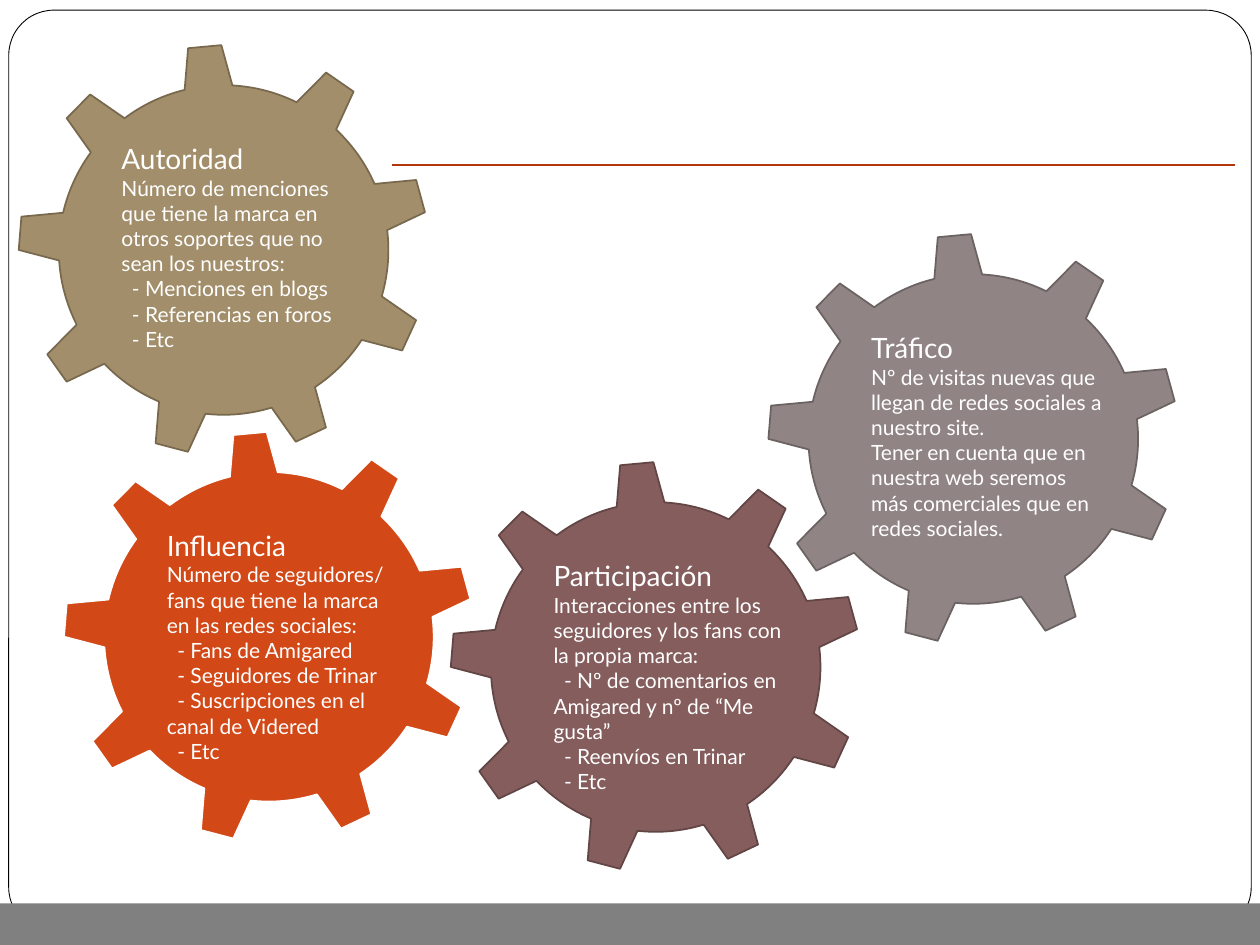
from lxml import etree
from pptx import Presentation
from pptx.dml.color import RGBColor
from pptx.enum import shapes, text
from pptx.oxml.ns import qn
from pptx.util import Pt

WHITE = RGBColor(0xFF, 0xFF, 0xFF)
BLACK = RGBColor(0, 0, 0)
GREY = RGBColor(0x80, 0x80, 0x80)
RULE_RED = RGBColor(0xB1, 0x36, 0x0B)
SAND = RGBColor(0xA2, 0x8E, 0x6A)
SAND_EDGE = RGBColor(0x78, 0x69, 0x4E)
ORANGE = RGBColor(0xD3, 0x48, 0x17)
PLUM = RGBColor(0x85, 0x5D, 0x5D)
PLUM_EDGE = RGBColor(0x62, 0x45, 0x45)
MAUVE = RGBColor(0x91, 0x84, 0x85)
MAUVE_EDGE = RGBColor(0x6B, 0x62, 0x62)

FONT = "Lato"
SLIDE_W, SLIDE_H = 720, 540
GEAR_SIZE = 235.4
GEAR_ANGLE = 354.7
TEXT_INSET = 52.2
TEXT_W = 147.6
ITEM_INDENT = 6

METRICS = [
    (10.1, 25.2, 128, SAND, SAND_EDGE, "Autoridad", [
        "Número de menciones que tiene la marca en otros soportes que no sean los nuestros:",
        "- Menciones en blogs",
        "- Referencias en foros",
        "- Etc"]),
    (36, 246.2, 143, ORANGE, WHITE, "Influencia", [
        "Número de seguidores/ fans que tiene la marca en las redes sociales:",
        "- Fans de Amigared",
        "- Seguidores de Trinar",
        "- Suscripciones en el canal de Videred",
        "- Etc"]),
    (257, 263.5, 143, PLUM, PLUM_EDGE, "Participación", [
        "Interacciones entre los seguidores y los fans con la propia marca:",
        "- Nº de comentarios en Amigared y nº de “Me gusta”",
        "- Reenvíos en Trinar",
        "- Etc"]),
    (438.5, 133.2, 128, MAUVE, MAUVE_EDGE, "Tráfico", [
        "Nº de visitas nuevas que llegan de redes sociales a nuestro site.",
        "Tener en cuenta que en nuestra web seremos más comerciales que en redes sociales."]),
]


def add_filled(slide, kind, left, top, width, height, fill, edge=None, weight=1):
    shape = slide.shapes.add_shape(kind, Pt(left), Pt(top), Pt(width), Pt(height))
    shape.shadow.inherit = False
    shape.fill.solid()
    shape.fill.fore_color.rgb = fill
    if edge is None:
        shape.line.fill.background()
    else:
        shape.line.color.rgb = edge
        shape.line.width = Pt(weight)
    return shape


def style(font, size):
    font.name = FONT
    font.size = Pt(size)
    font.color.rgb = WHITE


def add_backdrop(slide, width, height):
    frame = add_filled(slide, shapes.MSO_SHAPE.ROUNDED_RECTANGLE,
                       5, 5.8, width - 10, 527, WHITE, BLACK, 0.5)
    frame.adjustments[0] = 0.049
    footer_top = 516.2
    add_filled(slide, shapes.MSO_SHAPE.RECTANGLE,
               0, footer_top, width, height - footer_top, GREY)


def add_metric(slide, left, top, text_h, fill, edge, heading, lines):
    gear = add_filled(slide, shapes.MSO_SHAPE.GEAR_9, left, top,
                      GEAR_SIZE, GEAR_SIZE, fill, edge)
    gear.rotation = GEAR_ANGLE

    description = slide.shapes.add_textbox(
        Pt(left + TEXT_INSET), Pt(top + TEXT_INSET), Pt(TEXT_W), Pt(text_h)).text_frame
    description.word_wrap = True
    description.auto_size = text.MSO_AUTO_SIZE.SHAPE_TO_FIT_TEXT

    intro = description.paragraphs[0]
    title_run = intro.add_run()
    title_run.text = heading
    style(title_run.font, 16)
    intro.add_line_break()
    intro_run = intro.add_run()
    intro_run.text = lines[0]
    style(intro_run.font, 12)

    for line in lines[1:]:
        item = description.add_paragraph()
        item.text = line
        if line.startswith("- "):
            properties = item._p.get_or_add_pPr()
            properties.set("marL", "0")
            properties.set("indent", str(Pt(ITEM_INDENT)))
        style(item.font, 12)


def add_title_rule(slide, left, right, y):
    rule = slide.shapes.add_connector(
        shapes.MSO_CONNECTOR.STRAIGHT, Pt(left), Pt(y), Pt(right), Pt(y))
    rule.line.color.rgb = RULE_RED
    rule.line.width = Pt(0.75)
    etree.SubElement(rule._element.spPr, qn("a:effectLst"))


def main():
    deck = Presentation()
    deck.slide_width, deck.slide_height = Pt(SLIDE_W), Pt(SLIDE_H)
    slide = deck.slides.add_slide(deck.slide_layouts[6])
    add_backdrop(slide, SLIDE_W, SLIDE_H)
    for metric in METRICS:
        add_metric(slide, *metric)
    add_title_rule(slide, 224, 705.6, 94.3)
    deck.save("out.pptx")


if __name__ == "__main__":
    main()
